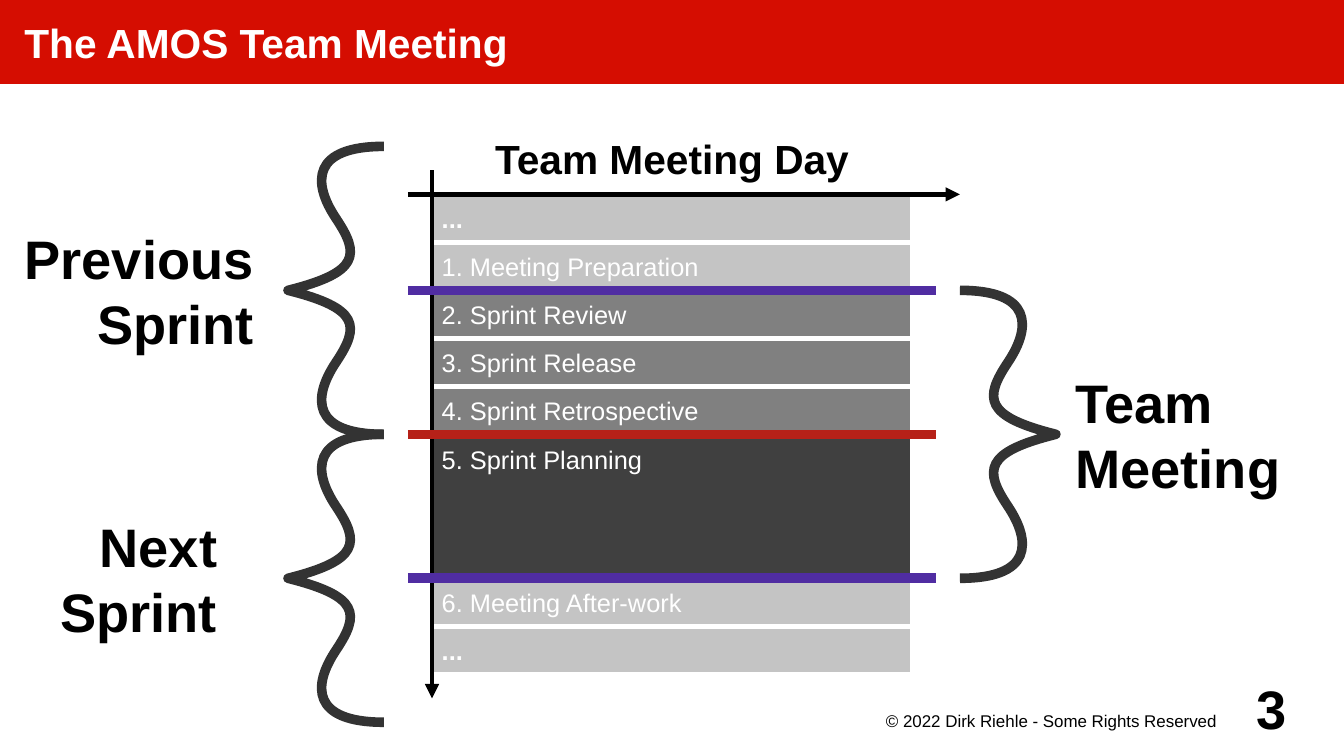
from lxml import etree
from pptx import Presentation, util as u
from pptx.dml.color import RGBColor
from pptx.enum import shapes, text
from pptx.oxml.ns import qn

BLACK = RGBColor(0x00, 0x00, 0x00)
WHITE = RGBColor(0xFF, 0xFF, 0xFF)
RED = RGBColor(0xD5, 0x0D, 0x01)
LIGHT = RGBColor(0xC4, 0xC4, 0xC4)
MEDIUM = RGBColor(0x80, 0x80, 0x80)
DARK = RGBColor(0x40, 0x40, 0x40)
BRACE = RGBColor(0x33, 0x33, 0x33)
PURPLE = RGBColor(0x50, 0x2D, 0xA2)
CRIMSON = RGBColor(0xB6, 0x21, 0x18)

WIDTH, HEIGHT = 11.02, 6.2
CELL = WIDTH / 28      # the slide is 28 grid columns wide
TOP_OFFSET = 0.02
THIN, THICK = 2.83, 5.67
LEFT, CENTER, RIGHT = text.PP_ALIGN.LEFT, text.PP_ALIGN.CENTER, text.PP_ALIGN.RIGHT
TOP, MIDDLE = text.MSO_ANCHOR.TOP, text.MSO_ANCHOR.MIDDLE

TITLE = "The AMOS Team Meeting"
# text, height in rows, fill
AGENDA = [
    ("...", 1, LIGHT),
    ("1. Meeting Preparation", 1, LIGHT),
    ("2. Sprint Review", 1, MEDIUM),
    ("3. Sprint Release", 1, MEDIUM),
    ("4. Sprint Retrospective", 1, MEDIUM),
    ("5. Sprint Planning", 3, DARK),
    ("6. Meeting After-work", 1, LIGHT),
    ("...", 1, LIGHT),
]
AGENDA_COLUMN, AGENDA_ROW, AGENDA_COLUMNS = 9, 4, 10
# from column, from row, to column, to row
AXES = [(8.5, 4, 20, 4), (9, 3.5, 9, 14.5)]
# row, colour
BOUNDARIES = [(6, PURPLE), (9, CRIMSON), (12, PURPLE)]
# column of the open ends, top row, direction of the tip
BRACES = [(8, 3, -1), (8, 9, -1), (20, 6, 1)]
# Bezier points of a brace: columns towards the tip, rows down
BRACE_POINTS = [
    (0, 0), (1.5, 0), (1.5, 0.75), (1, 1.5), (0.5, 2.25), (0.5, 2.625), (2, 3),
    (0.5, 3.375), (0.5, 3.75), (1, 4.5), (1.5, 5.25), (1.5, 6), (0, 6),
]
# text, (column, row, columns, rows), format
LABELS = [
    ("Team Meeting Day", (9, 2.5, 10, 1.5), dict(size=24, align=CENTER)),
    ("Previous\nSprint", (0, 4, 6, 4), dict(align=RIGHT, insets=(0.08, 0.08, 0.28, 0.08))),
    ("Next\nSprint", (0, 10, 6, 4), dict(align=RIGHT, insets=(0.08, 0.08, 0.58, 0.08))),
    ("Team\nMeeting", (22, 7, 6, 4), dict(insets=(0.16, 0.08, 0.08, 0.08))),
    ("© 2022 Dirk Riehle - Some Rights Reserved", (18, 14.7, 8, 0.75),
     dict(size=10, bold=False, align=RIGHT, anchor=TOP, insets=(0, 0.02, 0.26, 0))),
    ("3", (25.5, 13.95, 2, 1.5), dict(align=RIGHT, insets=(0, 0, 0.27, 0))),
]


def place(column, row):
    """Return the position of a grid point."""
    return u.Inches(column * CELL), u.Inches(TOP_OFFSET + row * CELL)


def area(column, row, columns, rows):
    """Return left, top, width and height of a grid area."""
    return (*place(column, row), u.Inches(columns * CELL), u.Inches(rows * CELL))


def write(shape, content, size=32, color=BLACK, bold=True, align=LEFT,
          anchor=MIDDLE, insets=(0.08, 0.08, 0.08, 0.08)):
    """Fill a shape with formatted text, one paragraph a line."""
    frame = shape.text_frame
    frame.text = content
    frame.word_wrap = True
    frame.auto_size = text.MSO_AUTO_SIZE.NONE
    frame.vertical_anchor = anchor
    frame.margin_left, frame.margin_top, frame.margin_right, frame.margin_bottom = map(u.Inches, insets)
    for paragraph in frame.paragraphs:
        paragraph.alignment = align
        paragraph.space_before = u.Pt(0)
        font = paragraph.runs[0].font
        font.name, font.size, font.bold = "Arial", u.Pt(size), bold
        font.color.rgb = color


def add_line(slide, start, end, color, weight, arrow=False):
    """Draw a straight line, with an arrowhead at its end if wanted."""
    line = slide.shapes.add_connector(shapes.MSO_CONNECTOR.STRAIGHT, *place(*start), *place(*end))
    line.line.color.rgb, line.line.width = color, u.Pt(weight)
    if arrow:
        etree.SubElement(line.line._get_or_add_ln(), qn("a:tailEnd"), type="triangle")
    etree.SubElement(line._element.spPr, qn("a:effectLst"))


def add_brace(slide, column, row, direction):
    """Draw a curly brace six rows high with its tip in the given direction."""
    points = [place(column + direction * x, row + y) for x, y in BRACE_POINTS]
    builder = slide.shapes.build_freeform(*points[0])
    builder.add_line_segments(points[3::3], close=False)
    brace = builder.convert_to_shape()
    segments = list(brace._element.iter(qn("a:lnTo")))
    for index, segment in enumerate(segments):
        segment.tag = qn("a:cubicBezTo")
        controls = points[3 * index + 1:3 * index + 3]
        for position, (x, y) in enumerate(controls):
            point = etree.Element(qn("a:pt"), x=str(x - brace.left), y=str(y - brace.top))
            segment.insert(position, point)
    brace.shadow.inherit = False
    brace.fill.background()
    brace.line.color.rgb, brace.line.width = BRACE, u.Pt(THICK)
    etree.SubElement(brace.line._get_or_add_ln(), qn("a:round"))


def add_agenda(slide):
    """Stack the agenda bars from top to bottom."""
    row = AGENDA_ROW
    for content, rows, fill in AGENDA:
        bar = slide.shapes.add_shape(shapes.MSO_SHAPE.RECTANGLE,
                                     *area(AGENDA_COLUMN, row, AGENDA_COLUMNS, rows))
        bar.shadow.inherit = False
        bar.fill.solid()
        bar.fill.fore_color.rgb = fill
        bar.line.color.rgb, bar.line.width = WHITE, u.Pt(THIN)
        write(bar, content, size=15, color=WHITE, bold=content == "...",
              anchor=TOP if rows > 1 else MIDDLE)
        row += rows


def add_title(slide):
    """Turn the title placeholder into the red header band."""
    title = slide.shapes.title
    title.left, title.top = 0, 0
    title.width, title.height = u.Inches(WIDTH), u.Inches(1.75 * CELL)
    title.fill.solid()
    title.fill.fore_color.rgb = RED
    write(title, TITLE, size=24, color=WHITE, insets=(0.2, 0, 0, 0))


presentation = Presentation()
presentation.slide_width, presentation.slide_height = u.Inches(WIDTH), u.Inches(HEIGHT)
slide = presentation.slides.add_slide(presentation.slide_layouts.get_by_name("Title Only"))
add_title(slide)
add_agenda(slide)
for x1, y1, x2, y2 in AXES:
    add_line(slide, (x1, y1), (x2, y2), BLACK, THIN, arrow=True)
for brace in BRACES:
    add_brace(slide, *brace)
for row, color in BOUNDARIES:
    add_line(slide, (8.5, row), (19.5, row), color, THICK)
for content, box, style in LABELS:
    write(slide.shapes.add_textbox(*area(*box)), content, **style)
presentation.save("out.pptx")
